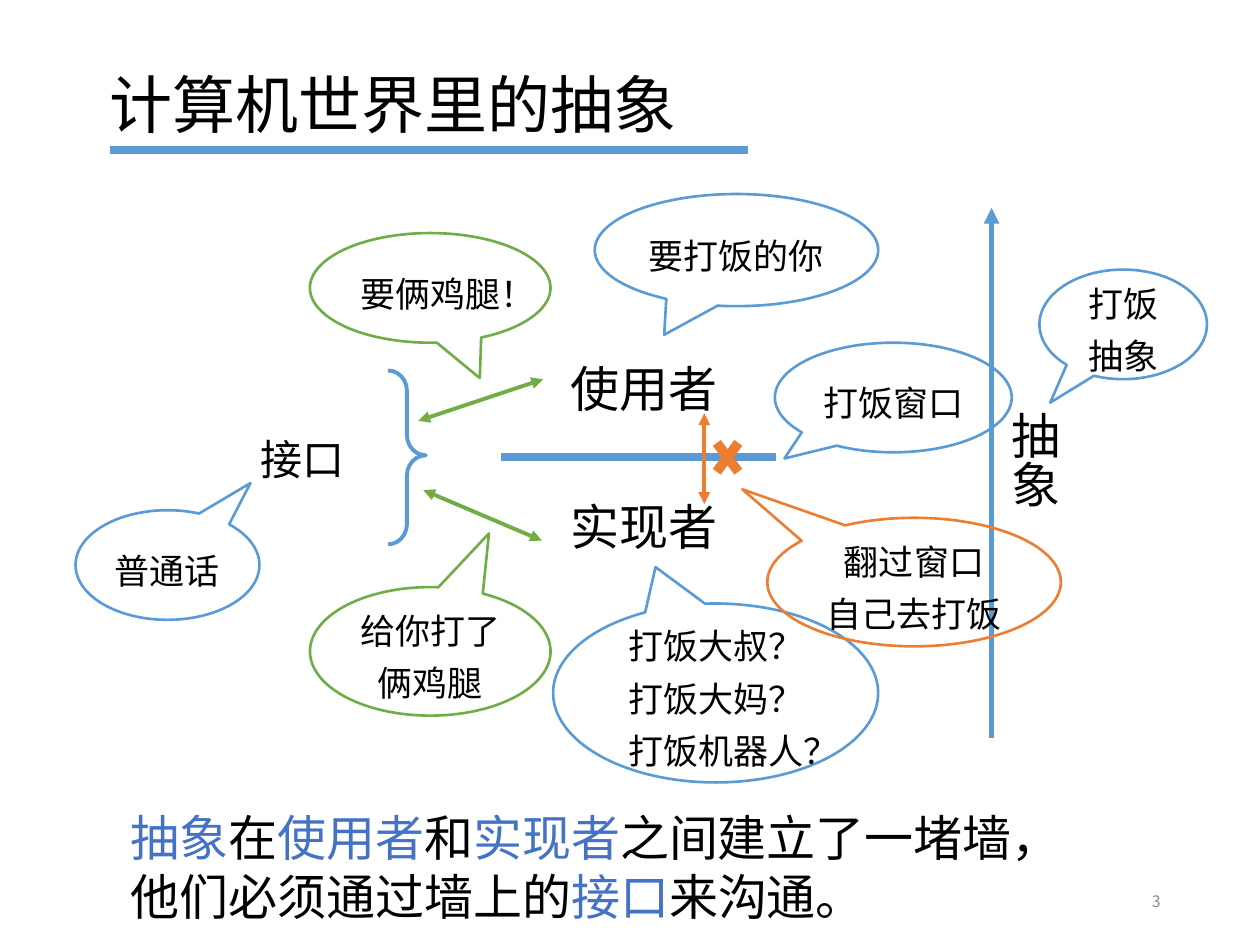
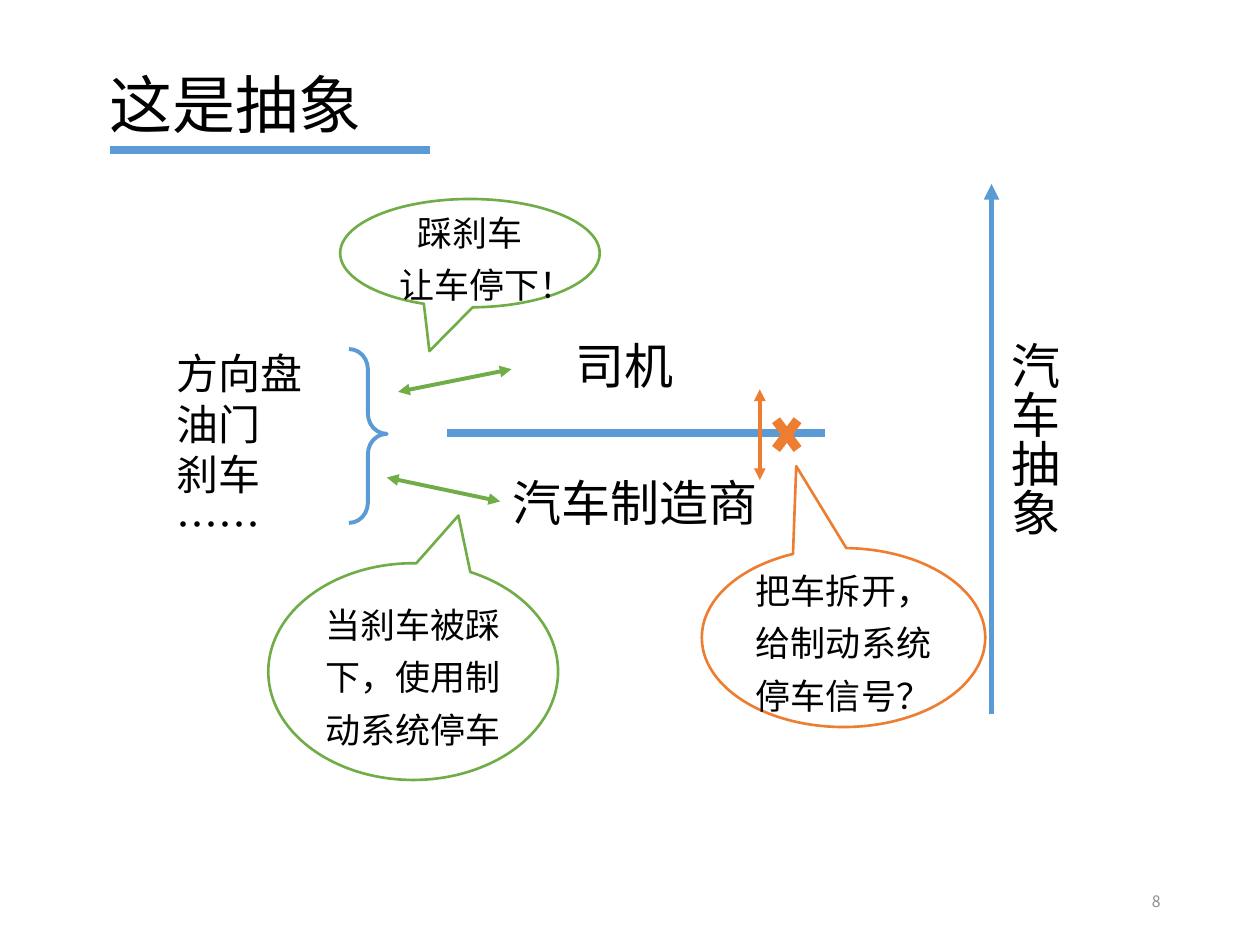
"""Build two slides on abstraction: a wall, an interface and callouts."""
from dataclasses import dataclass

from pptx import Presentation
from pptx.dml.color import RGBColor
from pptx.enum.shapes import MSO_CONNECTOR, MSO_SHAPE
from pptx.enum.text import MSO_ANCHOR, MSO_AUTO_SIZE, PP_ALIGN
from pptx.oxml.xmlchemy import OxmlElement
from pptx.util import Inches, Pt


@dataclass(frozen=True)
class Theme:
    face: str = "Noto Sans CJK SC"
    ink: str = "000000"
    mark: str = "4472C4"
    blue: str = "5B9BD5"
    green: str = "70AD47"
    orange: str = "ED7D31"
    grey: str = "8C8C8C"
    title: int = 36
    head: int = 28
    list: int = 24
    talk: int = 20
    foot: int = 9
    thick: float = 4.5
    axis: float = 3
    mid: float = 2.25
    thin: float = 1.5


theme = Theme()


def write(shape, text, size, color=theme.ink, look=None, para=None):
    """Fill a shape with lines; every second part split by a bar is marked."""
    frame = shape.text_frame
    form = {"word_wrap": True, **(look or {})}
    for key, value in form.items():
        setattr(frame, key, value)
    for row, line in enumerate(text.split("\n")):
        item = frame.paragraphs[0] if row == 0 else frame.add_paragraph()
        for key, value in (para or {}).items():
            setattr(item, key, value)
        for turn, part in enumerate(line.split("|")):
            if part:
                run = item.add_run()
                run.text = part
                face = {"name": theme.face, "size": Pt(size)}
                for key, value in face.items():
                    setattr(run.font, key, value)
                tint = theme.mark if turn % 2 else color
                run.font.color.rgb = RGBColor.from_string(tint)


def draw(slide, start, end, color, width, heads=()):
    """Draw a straight line with triangles at the named ends."""
    points = [Inches(n) for n in (*start, *end)]
    link = slide.shapes.add_connector(MSO_CONNECTOR.STRAIGHT, *points)
    link.line.color.rgb = RGBColor.from_string(color)
    link.line.width = Pt(width)
    for name in heads:
        tip = OxmlElement(f"a:{name}")
        tip.set("type", "triangle")
        link.line._get_or_add_ln().append(tip)
    link._element.spPr.append(OxmlElement("a:effectLst"))


both = ("headEnd", "tailEnd")
grow = {"auto_size": MSO_AUTO_SIZE.SHAPE_TO_FIT_TEXT}
free = {**grow, "word_wrap": False}
middle = {"vertical_anchor": MSO_ANCHOR.MIDDLE}
center = {"alignment": PP_ALIGN.CENTER, "line_spacing": 1.25}
right = {"alignment": PP_ALIGN.RIGHT}

pages = [
    {
        "title": ("计算机世界里的抽象", 4.75, 5.94),
        "number": "3",
        "wall": (3.98, 6.16, 3.63),
        "axis": (5.86, "抽象", 3.17),
        "brace": (3.08, 2.94),
        "cross": (5.59, 5.61, 3.41),
        "links": [((4.31, 3.01), (3.32, 3.34)), ((4.3, 4.29), (3.36, 3.89))],
        "texts": [
            ("使用者", (4.43, 2.8, 1.38, 0.57), theme.head, free),
            ("实现者", (4.43, 3.89, 1.38, 0.57), theme.head, free),
            ("接口", (1.97, 3.39, 0.97, 0.5), theme.list, grow),
            ("|抽象|在|使用者|和|实现者|之间建立了一堵墙，他们必须通过墙上的|接口|来沟通。",
             (0.94, 6.36, 7.55, 1.04), theme.head, grow),
        ],
        "talks": [
            ("要打饭的你", (4.72, 1.54, 2.25, 0.89), (-0.255, 0.755), theme.blue),
            ("打饭大叔？\n打饭大妈？\n打饭机器人？", (4.39, 4.79, 2.58, 1.42),
             (-0.185, -0.704), theme.blue),
            ("打饭窗口", (6.15, 2.72, 1.88, 0.87), (-0.46, 0.557), theme.blue),
            ("打饭抽象", (8.25, 2.14, 1.33, 0.87), (-0.436, 0.714), theme.blue),
            ("普通话", (0.6, 4.05, 1.46, 0.87), (0.451, -0.748), theme.blue),
            ("要俩鸡腿！", (2.46, 1.85, 1.91, 0.87), (0.206, 0.823), theme.green),
            ("给你打了俩鸡腿", (2.46, 4.66, 1.91, 1.02), (0.244, -0.918), theme.green),
            ("翻过窗口\n自己去打饭", (6.09, 4.11, 2.33, 1.02),
             (-0.585, -0.722), theme.orange),
        ],
    },
    {
        "title": ("这是抽象", 2.22, 3.41),
        "number": "8",
        "wall": (3.55, 6.55, 3.44),
        "axis": (5.67, "汽车抽象", 2.61),
        "brace": (2.77, 2.77),
        "cross": (6.03, 6.08, 3.23),
        "links": [((4.06, 2.93), (3.16, 3.11)), ((3.97, 3.98), (3.07, 3.79))],
        "texts": [
            ("司机", (4.47, 2.61, 0.99, 0.57), theme.head, free),
            ("汽车制造商", (3.97, 3.7, 2.17, 0.57), theme.head, free),
            ("方向盘\n油门\n刹车\n……", (1.3, 2.71, 1.44, 1.72), theme.list, grow),
        ],
        "talks": [
            ("踩刹车\n让车停下！", (2.7, 1.58, 2.06, 0.86), (-0.156, 0.904), theme.green),
            ("当刹车被踩下，使用制动系统停车", (2.13, 4.47, 2.3, 1.72),
             (0.156, -0.72), theme.green),
            ("把车拆开，给制动系统停车信号？", (5.57, 4.35, 2.25, 1.42),
             (-0.167, -0.958), theme.orange),
        ],
    },
]

deck = Presentation()
deck.slide_width, deck.slide_height = Inches(10), Inches(7.5)

for page in pages:
    slide = deck.slides.add_slide(deck.slide_layouts[6])
    shapes = slide.shapes

    title, width, end = page["title"]
    draw(slide, (0.87, 1.19), (end, 1.19), theme.blue, theme.thick)
    box = shapes.add_textbox(*map(Inches, (0.77, 0.47, width, 0.71)))
    write(box, title, theme.title, look=free)
    box = shapes.add_textbox(*map(Inches, (7.06, 6.95, 2.25, 0.4)))
    write(box, page["number"], theme.foot, theme.grey, middle, right)

    for text, place, size, look in page["texts"]:
        box = shapes.add_textbox(*map(Inches, place))
        write(box, text, size, look=look)

    left, end, wall = page["wall"]
    draw(slide, (left, wall), (end, wall), theme.blue, theme.thick)

    base, label, top = page["axis"]
    draw(slide, (7.87, base), (7.87, base - 4.21), theme.blue, theme.axis, ["tailEnd"])
    box = shapes.add_textbox(*map(Inches, (7.82, top, 0.67, 2)))
    write(box, label, theme.head, look=grow)
    box.text_frame._txBody.bodyPr.set("vert", "eaVert")

    place = (*page["brace"], 0.3, 1.38)
    brace = shapes.add_shape(MSO_SHAPE.RIGHT_BRACE, *map(Inches, place))
    brace.adjustments[0], brace.adjustments[1] = 0.535, 0.488
    brace.shadow.inherit = False
    brace.fill.background()
    brace.line.color.rgb = RGBColor.from_string(theme.blue)
    brace.line.width = Pt(theme.mid)

    for start, end in page["links"]:
        draw(slide, start, end, theme.green, theme.mid, both)
    bar, left, top = page["cross"]
    draw(slide, (bar, wall + 0.37), (bar, wall - 0.35), theme.orange, theme.mid, both)
    place = (left, top, 0.33, 0.44)
    cross = shapes.add_shape(MSO_SHAPE.MATH_MULTIPLY, *map(Inches, place))
    cross.shadow.inherit = False
    cross.fill.solid()
    cross.fill.fore_color.rgb = RGBColor.from_string(theme.orange)
    cross.line.fill.background()

    for text, place, tip, color in page["talks"]:
        talk = shapes.add_shape(MSO_SHAPE.OVAL_CALLOUT, *map(Inches, place))
        talk.adjustments[0], talk.adjustments[1] = tip
        talk.shadow.inherit = False
        talk.fill.background()
        talk.line.color.rgb = RGBColor.from_string(color)
        talk.line.width = Pt(theme.thin)
        write(talk, text, theme.talk, look=middle, para=center)

deck.save("out.pptx")
